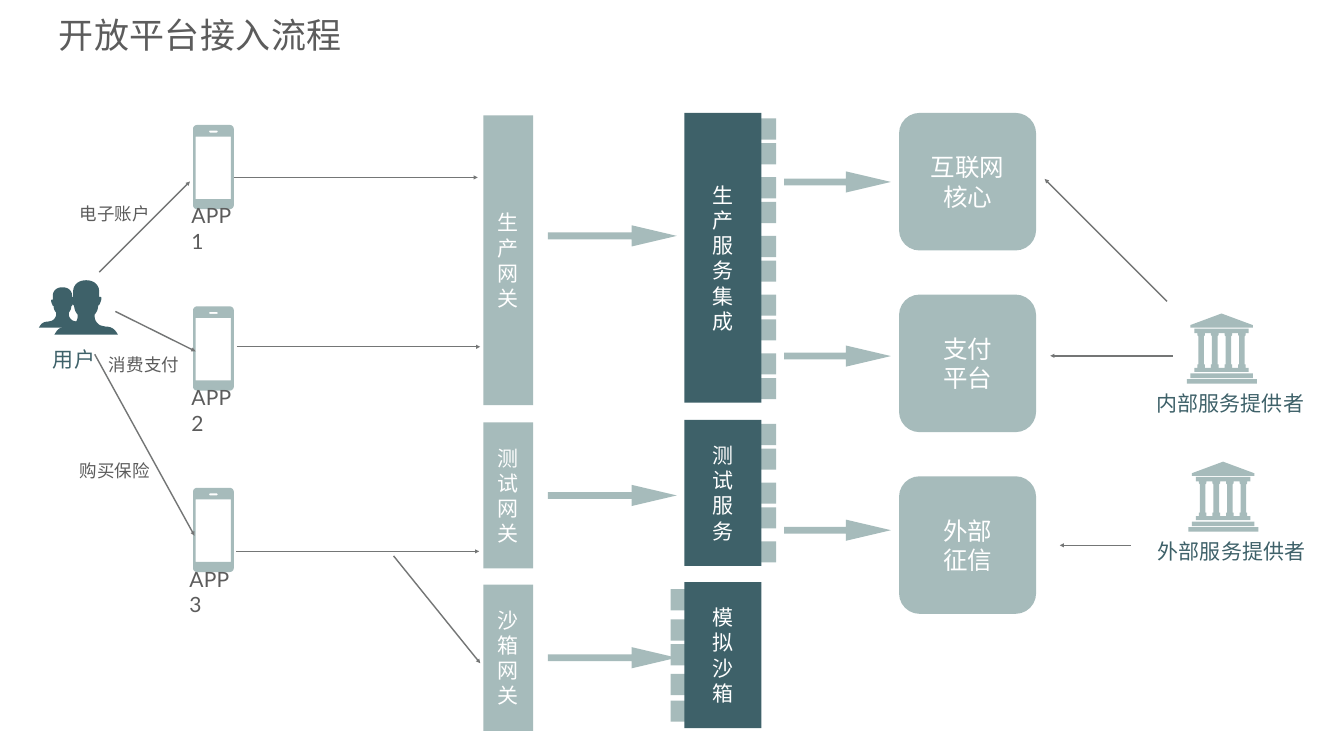
"""Draw the open platform access flow as one slide."""
import dataclasses
import math

import pptx
import pptx.dml.color
import pptx.enum.shapes
import pptx.enum.text
import pptx.oxml
import pptx.oxml.ns
import pptx.util

SHAPE = pptx.enum.shapes.MSO_SHAPE
ALIGN = pptx.enum.text.PP_ALIGN
ROWS, COLUMNS = 15, 26.67
CELL = pptx.util.Inches(1)


@dataclasses.dataclass(frozen=True)
class Theme:
    """Colours, fonts and type sizes."""
    pale: str = "A6BBBB"
    deep: str = "3E6169"
    grey: str = "5C5C5C"
    line: str = "747676"
    white: str = "FFFFFF"
    font: str = "Lato"
    title_font: str = "Roboto"
    title: int = 50
    card: int = 35
    body: int = 30
    small: int = 25


THEME = Theme()


def grid(*cells):
    """Turn grid columns and rows into slide lengths."""
    return [pptx.util.Emu(round(c * CELL)) for c in cells]


def rgb(color):
    """Give the colour object for a hex string."""
    return pptx.dml.color.RGBColor.from_string(color)


def set_format(target, values):
    """Set each attribute of target from a dict."""
    for name, value in values.items():
        setattr(target, name, value)


def write(sp, lines, size, color, font=THEME.font, wrap=True, **paragraph):
    """Fill a shape's text frame with one paragraph per line."""
    tf = sp.text_frame
    inset = grid(0.06)[0]
    set_format(tf, {"margin_left": inset, "margin_right": inset, "margin_top": inset,
                    "margin_bottom": inset, "word_wrap": wrap,
                    "vertical_anchor": pptx.enum.text.MSO_ANCHOR.MIDDLE})
    for i, line in enumerate(lines):
        p = tf.paragraphs[0] if i == 0 else tf.add_paragraph()
        set_format(p, paragraph)
        r = p.add_run()
        r.text = line
        set_format(r.font, {"name": font, "size": pptx.util.Pt(size)})
        r.font.color.rgb = rgb(color)
    return tf


def add_label(s, text, x, y, w, h, size, color=THEME.grey, font=THEME.font, wrap=True):
    """Add a left-aligned, slightly letterspaced text box."""
    sp = s.shapes.add_textbox(*grid(x, y, w, h))
    tf = write(sp, [text], size, color, font, wrap, space_before=pptx.util.Pt(20))
    tf.auto_size = pptx.enum.text.MSO_AUTO_SIZE.SHAPE_TO_FIT_TEXT
    tf.paragraphs[0].runs[0].font._element.set("spc", str(size))


def paint(sp, color):
    """Give a shape a flat fill without line or shadow."""
    sp.shadow.inherit = False
    sp.fill.solid()
    sp.fill.fore_color.rgb = rgb(color)
    sp.line.fill.background()


def add_block(s, kind, x, y, w, h, color=THEME.pale, lines=(), size=THEME.body, adjust=()):
    """Add a flat preset shape with centred lines of text."""
    sp = s.shapes.add_shape(kind, *grid(x, y, w, h))
    paint(sp, color)
    for i, value in enumerate(adjust):
        sp.adjustments[i] = value
    if lines:
        write(sp, lines, size, THEME.white, alignment=ALIGN.CENTER)


def add_flow(s, x, y, w):
    """Add a wide block arrow pointing right."""
    add_block(s, SHAPE.RIGHT_ARROW, x, y, w, 0.42, adjust=(0.32, 2.129))


def add_link(s, x1, y1, x2, y2):
    """Add a thin line with an arrowhead at its end."""
    sp = s.shapes.add_connector(pptx.enum.shapes.MSO_CONNECTOR.STRAIGHT, *grid(x1, y1, x2, y2))
    sp.line.width = pptx.util.Pt(2)
    sp.line.color.rgb = rgb(THEME.line)
    ns = pptx.oxml.ns.nsdecls("a")
    sp.line._get_or_add_ln().append(pptx.oxml.parse_xml(f'<a:tailEnd {ns} type="triangle"/>'))
    sp._element.spPr.append(pptx.oxml.parse_xml(f"<a:effectLst {ns}/>"))


def add_outline(s, x, y, contours, color, scale=1):
    """Add one freeform made of closed contours."""
    placed = [[grid(x + px * scale, y + py * scale) for px, py in c] for c in contours]
    fb = s.shapes.build_freeform(*placed[0][0], scale=1.0)
    for i, points in enumerate(placed):
        if i:
            fb.move_to(*points[0])
        fb.add_line_segments(points[1:], close=True)
    paint(fb.convert_to_shape(), color)


def mirrored(half, axis=0):
    """Close a left half with its mirror image about a vertical axis."""
    return half + [(2 * axis - x, y) for x, y in reversed(half)]


def rounded(x, y, w, h, r):
    """Give the contour of a rounded rectangle."""
    corners = [(x + w - r, y + h - r), (x + r, y + h - r), (x + r, y + r), (x + w - r, y + r)]
    return [(cx + r * math.cos(a), cy + r * math.sin(a))
            for i, (cx, cy) in enumerate(corners)
            for a in [math.pi / 2 * (i + k / 6) for k in range(7)]]


def box(x, y, w, h):
    """Give the contour of a plain rectangle."""
    return [(x, y), (x + w, y), (x + w, y + h), (x, y + h)]


def curve(start, *bends, steps=8):
    """Sample a chain of cubic curves."""
    points = [start]
    for b, c, d in bends:
        a = points[-1]
        for t in [k / steps for k in range(1, steps + 1)]:
            u = 1 - t
            points.append(tuple(u**3 * a[i] + 3 * u * u * t * b[i] + 3 * u * t * t * c[i]
                                + t**3 * d[i] for i in (0, 1)))
    return points


def add_person(s, x, y, scale):
    """Add a head and shoulders centred on x."""
    head = curve((0, 0), ((-.14, 0), (-.22, .07), (-.25, .16)),
                 ((-.26, .21), (-.26, .27), (-.26, .33)), ((-.26, .33), (-.27, .33), (-.28, .33)),
                 ((-.33, .33), (-.29, .43), (-.26, .49)), ((-.26, .5), (-.24, .5), (-.24, .5)),
                 ((-.23, .6), (-.21, .63), (-.17, .68)))
    body = curve((-.17, .73), ((-.17, .79), (-.21, .85), (-.27, .89)),
                 ((-.32, .91), (-.35, .91), (-.38, .92)), ((-.53, .92), (-.58, .99), (-.63, 1.08)))
    add_outline(s, x, y, [mirrored(head + body)], THEME.deep, scale)


def add_phone(s, x, y):
    """Add a phone with an open screen and speaker slot."""
    add_outline(s, x, y, [rounded(0, 0, 0.81, 1.67, 0.08), rounded(0.32, 0.11, 0.17, 0.04, 0.02),
                          box(0.05, 0.23, 0.7, 1.24)], THEME.pale)


def add_bank(s, x, y):
    """Add a columned building on two steps."""
    mid = 0.69
    roof = mirrored([(mid, 0), (.07, .23), (.07, .28)], mid)
    hall = mirrored([(.15, .3), (.15, .39), (.21, .39), (.21, .43), (.23, .45), (.23, 1.01),
                     (.21, 1.01), (.21, 1.08), (.15, 1.08), (.15, 1.16)], mid)
    gap = mirrored([(.36, .39), (.36, .43), (.34, .45), (.34, 1.01), (.36, 1.01), (.36, 1.08)], .42)
    gaps = [[(px + 0.27 * i, py) for px, py in gap] for i in range(3)]
    steps = [box(.07, 1.19, 1.24, .09), box(0, 1.3, 1.39, .09)]
    add_outline(s, x, y, [roof, hall, *gaps, *steps], THEME.pale)


def add_service(s, text, y, h, tab_x, tabs):
    """Add a service block with interface tabs behind one side."""
    for tab_y in tabs:
        add_block(s, SHAPE.RECTANGLE, tab_x, tab_y, 0.58, 0.42)
    add_block(s, SHAPE.RECTANGLE, 13.58, y, 1.53, h, THEME.deep, text)


def paired_tabs(top, count):
    """Give the rows of tabs set in pairs."""
    return [top + 1.165 * (i // 2) + 0.49 * (i % 2) for i in range(count)]


def main():
    """Build and save the slide."""
    prs = pptx.Presentation()
    prs.slide_width, prs.slide_height = grid(COLUMNS, ROWS)
    s = prs.slides.add_slide(prs.slide_layouts[6])
    add_label(s, "开放平台接入流程", 1.11, 0.14, 7.95, 1.08, THEME.title, font=THEME.title_font)
    add_person(s, 1.71, 5.56, 1)
    add_person(s, 1.24, 5.7, 0.74)
    add_label(s, "用户", 0.99, 6.78, 0.97, 0.69, THEME.body, THEME.deep, wrap=False)
    for i, x in enumerate((3.74, 3.74, 3.7)):
        add_phone(s, 3.83, 2.48 + 3.6 * i)
        add_label(s, f"APP{i + 1}", x, 4.18 + 3.61 * i, 1.08, 0.69, THEME.body, wrap=False)
    for text, x, y in (("电子账户", 1.52, 3.94), ("消费支付", 2.1, 6.94), ("购买保险", 1.52, 9.04)):
        add_label(s, text, x, y, 1.53, 0.58, THEME.small)
    for text, y, h in (("生产网关", 2.29, 5.75), ("测试网关", 8.38, 2.9), ("沙箱网关", 11.6, 2.9)):
        add_block(s, SHAPE.RECTANGLE, 9.59, y, 0.99, h, lines=text)
    add_service(s, "生产服务集成", 2.24, 5.75, 14.82, paired_tabs(2.35, 10))
    add_service(s, "测试服务", 8.33, 2.9, 14.82, paired_tabs(8.41, 5))
    add_service(s, "模拟沙箱", 11.55, 2.9, 13.31, (11.69, 12.29, 12.78, 13.37, 13.9))
    for i, lines in enumerate((("互联网", "核心"), ("支付", "平台"), ("外部", "征信"))):
        add_block(s, SHAPE.ROUNDED_RECTANGLE, 17.84, 2.24 + 3.605 * i, 2.72, 2.73,
                  lines=lines, size=THEME.card, adjust=(0.15,))
        add_flow(s, 15.56, 3.4 + 3.455 * i, 2.12)
    for y in (4.47, 9.62, 12.84):
        add_flow(s, 10.87, y, 2.56)
    for text, x, y in (("内部服务提供者", 22.88, 6.22), ("外部服务提供者", 22.91, 9.16)):
        add_bank(s, x + 0.67, y)
        add_label(s, text, x, y + 1.43, 3.08, 0.69, THEME.body, THEME.deep, wrap=False)
    for ends in ((1.97, 5.4, 3.77, 3.6), (2.29, 6.18, 3.88, 6.97), (1.88, 7.03, 3.86, 10.63),
                 (4.65, 3.52, 9.48, 3.52), (4.7, 6.88, 9.53, 6.88), (4.69, 10.94, 9.51, 10.94),
                 (7.81, 11.03, 9.53, 13.16), (23.16, 5.98, 20.73, 3.55),
                 (23.27, 7.06, 20.84, 7.06), (22.44, 10.82, 21.03, 10.82)):
        add_link(s, *ends)
    prs.save("out.pptx")


if __name__ == "__main__":
    main()
